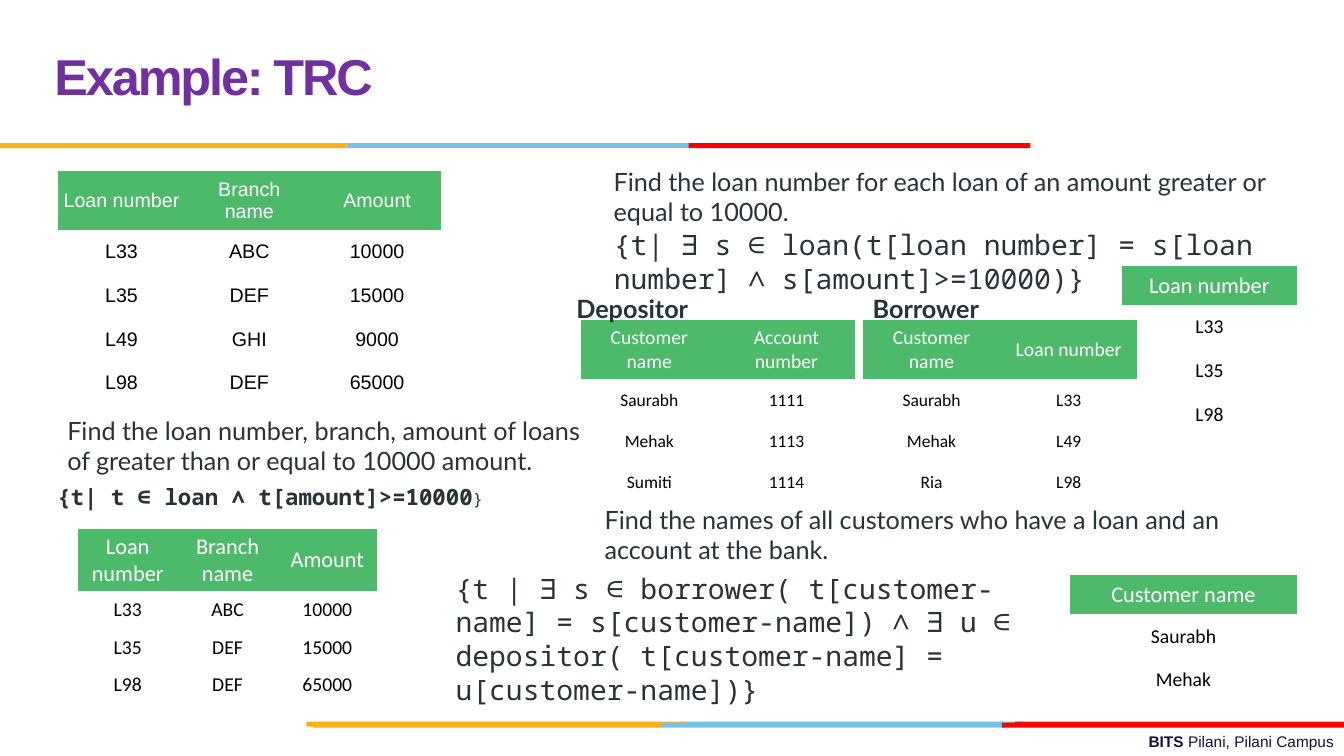
from pptx import Presentation
from pptx.dml.color import RGBColor
from pptx.enum.shapes import MSO_SHAPE
from pptx.enum.text import MSO_ANCHOR, MSO_AUTO_SIZE, PP_ALIGN
from pptx.oxml.ns import qn
from pptx.util import Pt

YELLOW, BLUE, RED = "FCB017", "76C2E5", "FF0000"
GREEN, WHITE, BLACK = "4CB96B", "FFFFFF", "000000"
PURPLE, NAVY, SLATE = "7030A0", "101141", "273239"
PLAIN_TABLE = "{2D5ABB26-0587-4C30-8999-92F81FD0307C}"
PROSE_INSETS = (7.2, 3.6, 7.2, 3.6)
FORMULA_INSETS = (0, 0, 0, 5)

TITLE = "Example: TRC"
FOOTER = [("BITS ", 11, True), ("Pilani, Pilani Campus", 11, False)]

BARS = [
    (515.5, [(486, 244.8, BLUE), (725, 235, "E31C24"), (218.9, 270.7, YELLOW)]),
    (516.2, [(472.3, 244.8, BLUE), (223.9, 248.4, YELLOW), (715.7, 244.3, RED)]),
    (102.2, [(247.7, 244.8, BLUE), (0, 247.7, YELLOW), (491.8, 244.2, RED)]),
]

QUESTIONS = [
    (41, 293, 397.4, 51.1, False,
     "Find the loan number, branch, amount of loans of greater than or equal to 10000 amount."),
    (431.3, 115.2, 480.2, 51.1, False,
     "Find the loan number for each loan of an amount greater or equal to 10000."),
    (424.8, 356.4, 480.2, 51.1, False,
     "Find the names of all customers who have a loan and an account at the bank."),
    (616.3, 205.9, 180, 28.8, True, "Borrower"),
    (404.6, 205.9, 180, 28.8, True, "Depositor"),
]

FORMULAS = [
    (41, 344.9, 339.1, 24.5,
     [("{t| t ∈ loan ∧ t[amount]>=10000", 16, True), ("}", 12, False)]),
    (438.5, 162.7, 480.2, 53.3,
     [("{t| ∃ s ∈ loan(t[loan number] = s[loan number] ∧ s[amount]>=10000)}", 20, False)]),
    (325.4, 407.5, 418.3, 102.2,
     [("{t | ∃ s ∈ borrower( t[customer-name] = s[customer-name]) ∧ ∃ u ∈ "
       "depositor( t[customer-name] = u[customer-name])}", 20, False)]),
]

WIDE_CELLS = (4.3, 4.3), (5, 7.2)
TIGHT_CELLS = (2.9, 2.9), (3.6, 5)

TABLES = [
    dict(place=(41.2, 122), column=91.3, heights=(41.4, 30.7), font="Arial", sizes=(14, 14),
         insets=WIDE_CELLS, rows=[
             ("Loan number", "Branch name", "Amount"), ("L33", "ABC", "10000"),
             ("L35", "DEF", "15000"), ("L49", "GHI", "9000"), ("L98", "DEF", "65000")]),
    dict(place=(55.6, 378), column=71.3, heights=(44.3, 26.5), font="Calibri", sizes=(16, 14),
         insets=TIGHT_CELLS, rows=[
             ("Loan number", "Branch name", "Amount"), ("L33", "ABC", "10000"),
             ("L35", "DEF", "15000"), ("L98", "DEF", "65000")]),
    dict(place=(801.3, 190), column=125.2, heights=(27.1, 30.7), font="Calibri", sizes=(16, 14),
         insets=WIDE_CELLS, rows=[("Loan number",), ("L33",), ("L35",), ("L98",)]),
    dict(place=(414.8, 228.8), column=98, heights=(41.4, 28.9), font="Calibri", sizes=(14, 12.5),
         insets=WIDE_CELLS, rows=[
             ("Customer name", "Account number"), ("Saurabh", "1111"),
             ("Mehak", "1113"), ("Sumiti", "1114")]),
    dict(place=(616.4, 228.8), column=98, heights=(41.4, 28.9), font="Calibri", sizes=(14, 12.5),
         insets=WIDE_CELLS, rows=[
             ("Customer name", "Loan number"), ("Saurabh", "L33"),
             ("Mehak", "L49"), ("Ria", "L98")]),
    dict(place=(764.4, 411), column=162, heights=(27.1, 30.7), font="Calibri", sizes=(16, 14),
         insets=WIDE_CELLS, rows=[("Customer name",), ("Saurabh",), ("Mehak",)]),
]


def color(value):
    return RGBColor.from_string(value)


def add_run(paragraph, text, font, size, fill, bold=False):
    run = paragraph.add_run()
    run.text = text
    run.font.name = font
    run.font.size = Pt(size)
    run.font.bold = bold
    run.font.color.rgb = color(fill)
    return run


def set_insets(target, insets):
    left, top, right, bottom = insets
    target.margin_left, target.margin_top = Pt(left), Pt(top)
    target.margin_right, target.margin_bottom = Pt(right), Pt(bottom)


def add_text(slide, box, runs, font, fill, insets=PROSE_INSETS,
             anchor=MSO_ANCHOR.TOP, align=PP_ALIGN.LEFT):
    frame = slide.shapes.add_textbox(*map(Pt, box)).text_frame
    frame.word_wrap = True
    frame.vertical_anchor = anchor
    set_insets(frame, insets)
    paragraph = frame.paragraphs[0]
    paragraph.alignment = align
    for text, size, bold in runs:
        add_run(paragraph, text, font, size, fill, bold)


def add_bars(slide):
    for top, bars in BARS:
        for left, width, fill in bars:
            shape = slide.shapes.add_shape(
                MSO_SHAPE.RECTANGLE, Pt(left), Pt(top), Pt(width), Pt(3.6))
            shape.shadow.inherit = False
            shape.fill.solid()
            shape.fill.fore_color.rgb = color(fill)
            shape.line.fill.background()


def add_data_table(slide, place, column, heights, font, sizes, insets, rows):
    row_heights = [heights[0]] + [heights[1]] * (len(rows) - 1)
    table = slide.shapes.add_table(
        len(rows), len(rows[0]), Pt(place[0]), Pt(place[1]),
        Pt(column * len(rows[0])), Pt(sum(row_heights))).table
    table.first_row = table.horz_banding = False
    table._tbl.tblPr.find(qn("a:tableStyleId")).text = PLAIN_TABLE
    for table_column in table.columns:
        table_column.width = Pt(column)
    for index, values in enumerate(rows):
        table.rows[index].height = Pt(row_heights[index])
        level = min(index, 1)
        for position, value in enumerate(values):
            cell = table.cell(index, position)
            cell.fill.solid()
            cell.fill.fore_color.rgb = color((GREEN, WHITE)[level])
            cell.vertical_anchor = MSO_ANCHOR.MIDDLE
            set_insets(cell, insets[level] * 2)
            paragraph = cell.text_frame.paragraphs[0]
            paragraph.alignment = PP_ALIGN.CENTER
            add_run(paragraph, value, font, sizes[level], (WHITE, BLACK)[level])


def add_title(slide):
    title = slide.shapes.title
    title.left, title.top, title.width, title.height = map(Pt, (31.7, 12.2, 663.8, 90))
    frame = title.text_frame
    frame.auto_size = MSO_AUTO_SIZE.NONE
    frame.vertical_anchor = MSO_ANCHOR.MIDDLE
    paragraph = frame.paragraphs[0]
    paragraph.alignment = PP_ALIGN.LEFT
    paragraph.line_spacing = Pt(36)
    run = add_run(paragraph, TITLE, "Arial", 36, PURPLE, True)
    run.font._element.set("spc", "-150")


def main():
    presentation = Presentation()
    presentation.slide_width, presentation.slide_height = Pt(960), Pt(540)
    slide = presentation.slides.add_slide(presentation.slide_layouts[5])
    add_title(slide)
    add_text(slide, (344.2, 519.1, 615.8, 20.9), FOOTER, "Arial", NAVY, align=PP_ALIGN.RIGHT)
    add_bars(slide)
    for table in TABLES:
        add_data_table(slide, **table)
    for *box, bold, text in QUESTIONS:
        add_text(slide, box, [(text, 18, bold)], "Lato", SLATE)
    for *box, runs in FORMULAS:
        add_text(slide, box, runs, "Noto Sans Mono", SLATE, FORMULA_INSETS, MSO_ANCHOR.MIDDLE)
    presentation.save("out.pptx")


if __name__ == "__main__":
    main()
